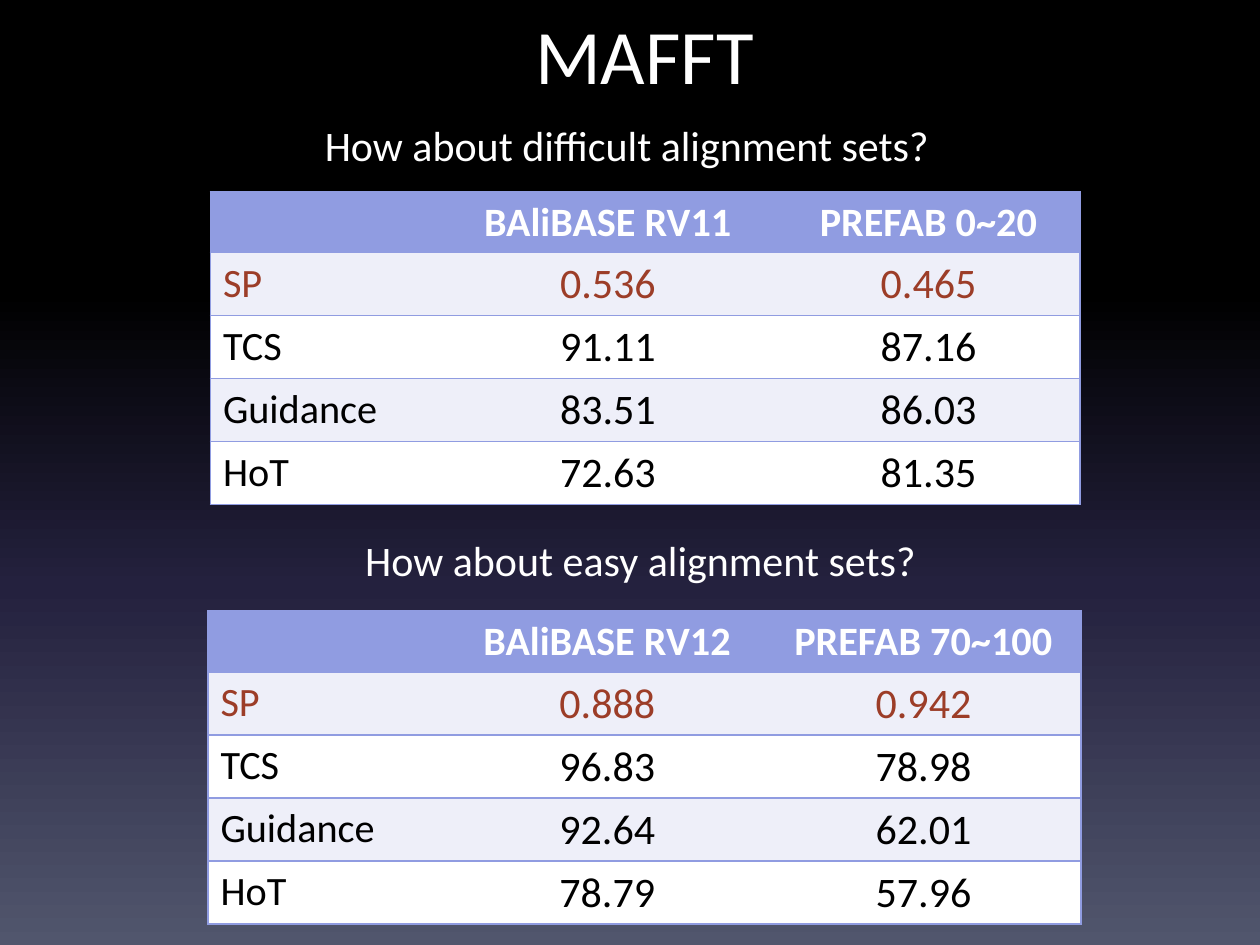
from dataclasses import dataclass
from lxml.etree import SubElement as Sub
from pptx import Presentation
from pptx.dml.color import RGBColor as Rgb
from pptx.enum.text import MSO_ANCHOR as Anchor, MSO_AUTO_SIZE as Fit, PP_ALIGN as Align
from pptx.oxml.ns import qn
from pptx.util import Inches, Pt


@dataclass(frozen=True)
class Theme:
    font: str = "Calibri"
    white: str = "FFFFFF"
    black: str = "000000"
    blue: str = "909CE1"
    pale: str = "EEEFF9"
    red: str = "9C3D28"
    title: int = 44
    body: int = 24
    label: int = 23
    # Background stops: percent and colour, from top to bottom
    sky: tuple = ((0, "000000"), (31, "000000"), (62, "24213E"), (100, "51566D"))


THEME = Theme()
NAMES = ["SP", "TCS", "Guidance", "HoT"]
HARD = [("BAliBASE RV11", "0.536", "91.11", "83.51", "72.63"),
        ("PREFAB 0~20", "0.465", "87.16", "86.03", "81.35")]
EASY = [("BAliBASE RV12", "0.888", "96.83", "92.64", "78.79"),
        ("PREFAB 70~100", "0.942", "78.98", "62.01", "57.96")]


def style(para, size, color, bold=False):
    for run in para.runs:
        font = run.font
        font.name, font.size, font.bold = THEME.font, Pt(size), bold
        font.color.rgb = Rgb.from_string(color)


def paint_back(slide):
    fill = slide.background.fill
    fill.gradient()
    fill.gradient_angle = 270
    stops = slide.element.find(".//" + qn("a:gsLst"))
    for old in list(stops):
        stops.remove(old)
    for pos, color in THEME.sky:
        stop = Sub(stops, qn("a:gs"), pos=str(pos * 1000))
        Sub(stop, qn("a:srgbClr"), val=color)


def set_text(shape, text, size, wrap):
    frame = shape.text_frame
    frame.text = text
    frame.word_wrap = wrap
    frame.auto_size = Fit.SHAPE_TO_FIT_TEXT
    frame.vertical_anchor = Anchor.TOP
    style(frame.paragraphs[0], size, THEME.white)


def add_title(slide, text, box):
    shape = slide.shapes.title
    shape.left, shape.top, shape.width, shape.height = map(Inches, box)
    set_text(shape, text, THEME.title, False)


def add_head(slide, text, box, wrap=False):
    shape = slide.shapes.add_textbox(*map(Inches, box))
    set_text(shape, text, THEME.body, wrap)


def set_edges(cell, first, last):
    # Lines between rows and around the table, none between columns
    props = cell._tc.get_or_add_tcPr()
    for side, shown in (("L", first), ("R", last), ("T", True), ("B", True)):
        line = Sub(props, qn("a:ln" + side), w=str(Pt(1)))
        if shown:
            fill = Sub(line, qn("a:solidFill"))
            Sub(fill, qn("a:srgbClr"), val=THEME.blue)
        else:
            Sub(line, qn("a:noFill"))


def fill_cell(cell, text, row, col):
    head = row == 0
    back = THEME.blue if head else THEME.pale if row % 2 else THEME.white
    color = THEME.white if head else THEME.red if row == 1 else THEME.black
    cell.fill.solid()
    cell.fill.fore_color.rgb = Rgb.from_string(back)
    para = cell.text_frame.paragraphs[0]
    para.text = text
    if col:
        para.alignment = Align.CENTER
    style(para, THEME.body if col and not head else THEME.label, color, head)


def add_scores(slide, left, top, widths, data):
    cols = [("", *NAMES), *data]
    rows = list(zip(*cols))
    table = slide.shapes.add_table(
        len(rows), len(cols), Inches(left), Inches(top),
        Inches(sum(widths)), Inches(2.48)).table
    for col, width in zip(table.columns, widths):
        col.width = Inches(width)
    for r, texts in enumerate(rows):
        table.rows[r].height = Inches(0.5 if r else 0.48)
        for c, text in enumerate(texts):
            cell = table.cell(r, c)
            set_edges(cell, c == 0, c == len(cols) - 1)
            fill_cell(cell, text, r, c)


def main():
    deck = Presentation()
    deck.slide_width, deck.slide_height = Inches(10), Inches(7.5)
    slide = deck.slides.add_slide(deck.slide_layouts[5])
    paint_back(slide)
    add_title(slide, "MAFFT", (4.13, 0.01, 1.97, 0.84))

    # Difficult sets
    add_head(slide, "How about difficult alignment sets?", (2.48, 0.9, 5.27, 0.5), True)
    add_scores(slide, 1.67, 1.52, (1.81, 2.69, 2.4), HARD)

    # Easy sets
    add_head(slide, "How about easy alignment sets?", (2.8, 4.19, 4.62, 0.5))
    add_scores(slide, 1.65, 4.85, (1.91, 2.52, 2.5), EASY)

    deck.save("out.pptx")


if __name__ == "__main__":
    main()
